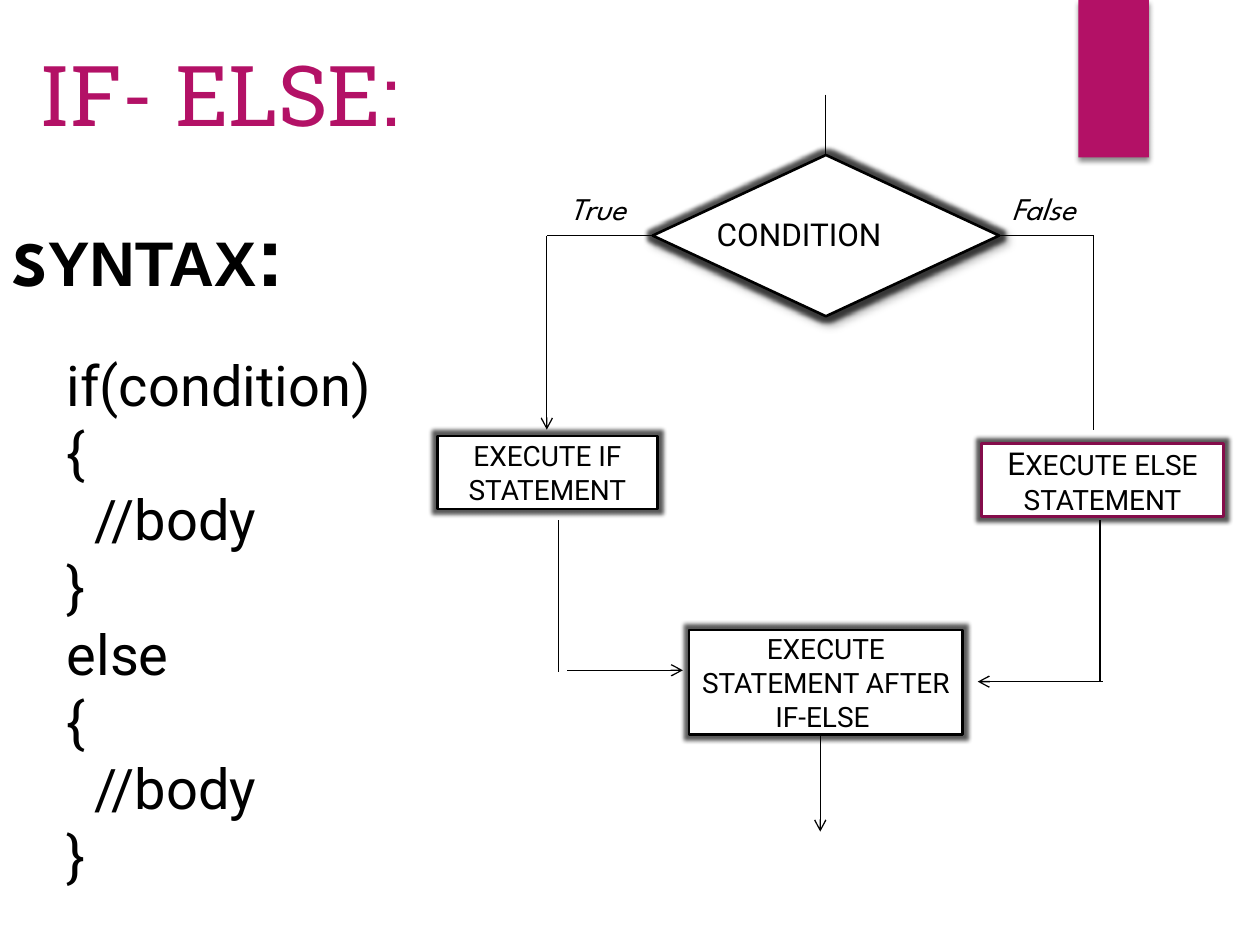
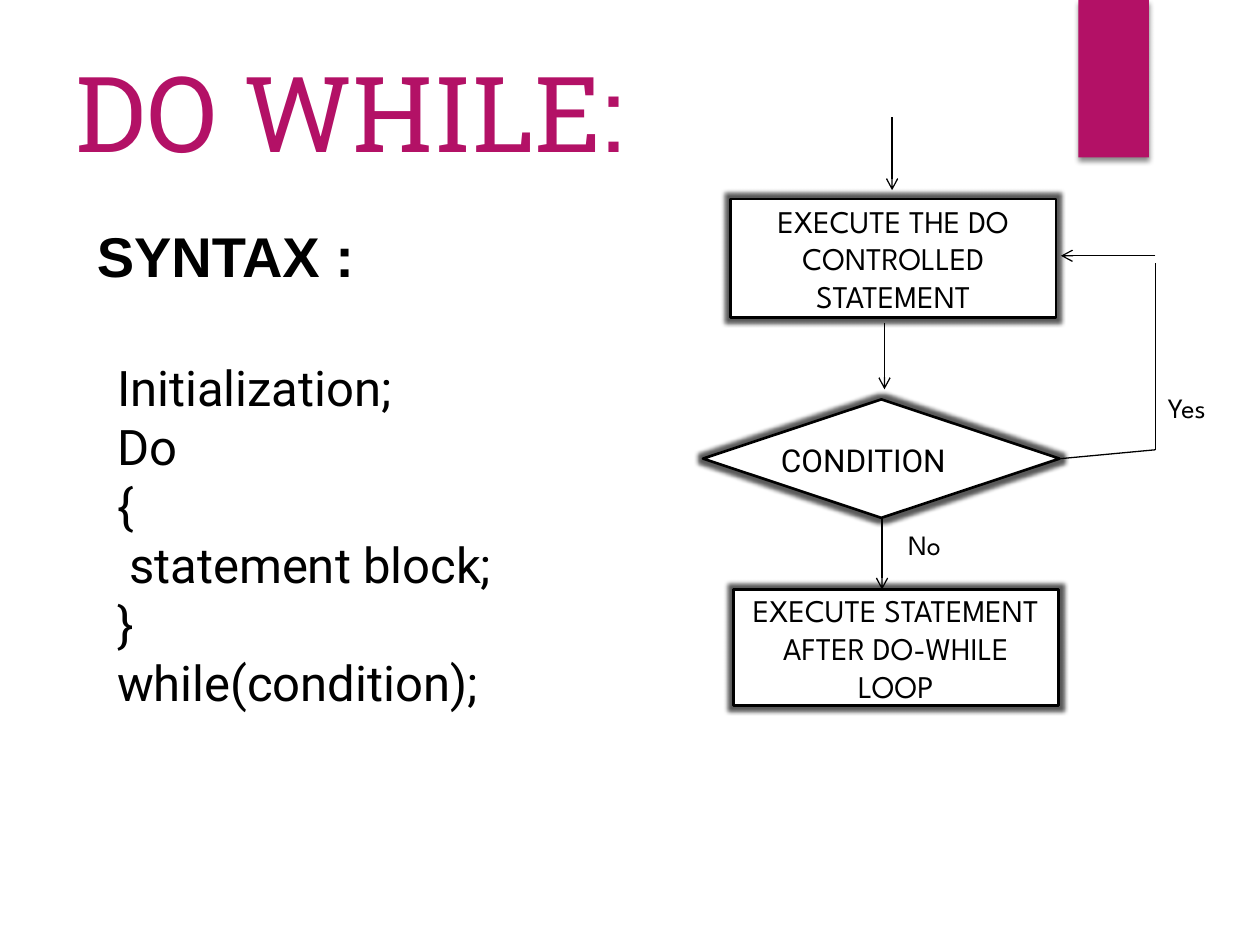
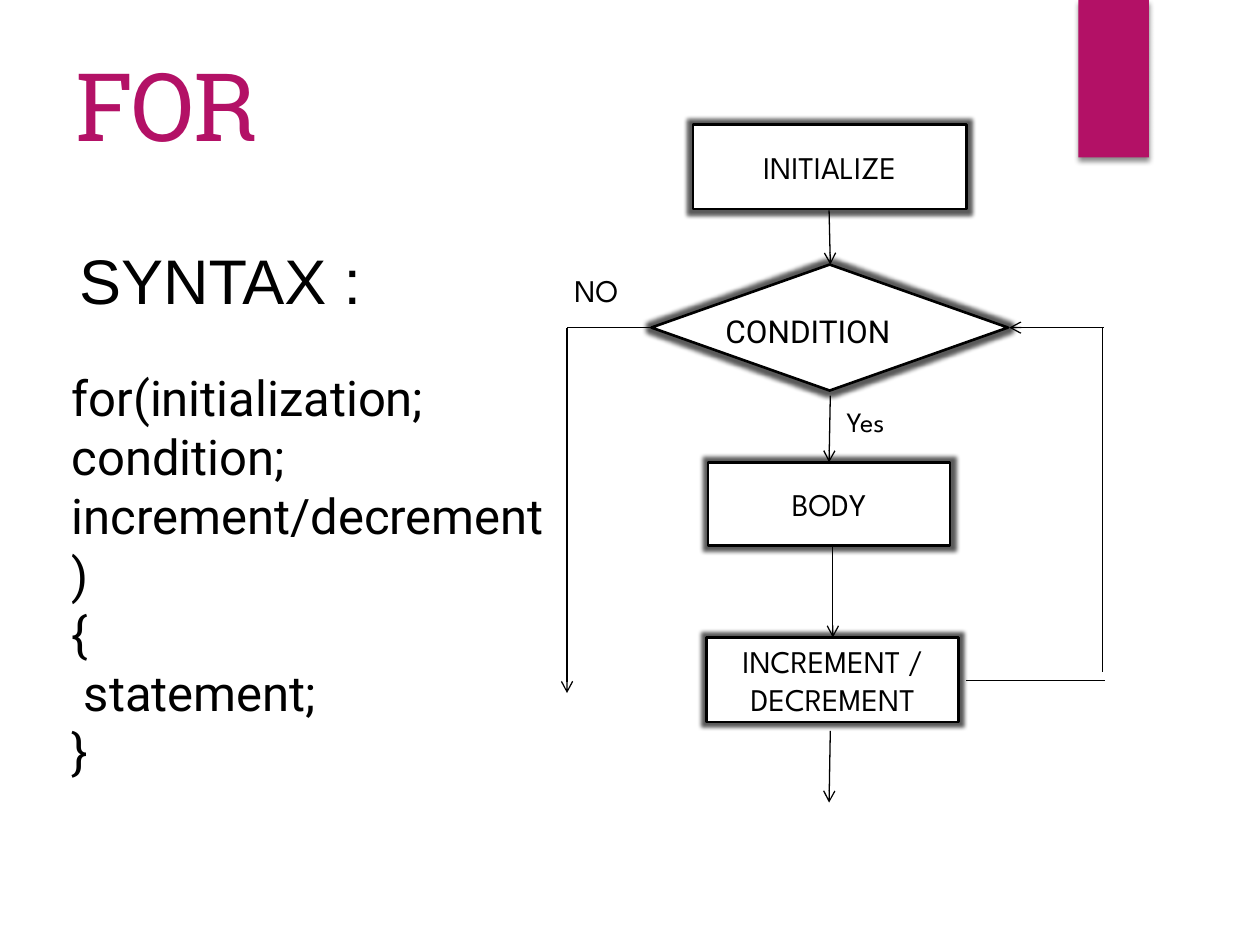
"""Build three slides on control flow, each with its syntax and a flowchart."""
from lxml.etree import SubElement
from pptx import Presentation
from pptx.dml.color import RGBColor
from pptx.enum.shapes import MSO_CONNECTOR, MSO_SHAPE
from pptx.enum.text import MSO_ANCHOR, MSO_AUTO_SIZE, PP_ALIGN
from pptx.oxml.ns import qn
from pptx.util import Inches, Pt

COLORS = {"accent": "B31166", "dark_accent": "840D4B", "ink": "000000", "paper": "FFFFFF"}
SPARTAN, ROBOTO, SLAB, ARIAL = "League Spartan", "Roboto", "Roboto Slab", "Arial"
PROCESS, DECISION = MSO_SHAPE.FLOWCHART_PROCESS, MSO_SHAPE.FLOWCHART_DECISION
BAND = (8.56, 0, 0.56, 1.25)
GLOW = {"radius": 5, "alpha": 65}
BAND_SHADOW = {"alpha": 45, "blur": 3, "distance": 2, "angle": 90}
DECISION_SHADOW = {"alpha": 40, "blur": 4, "distance": 3, "angle": 45}

SLIDES = [
    {
        "title": ("IF- ELSE:", (0.21, 0.29, 9, 0.91), 48),
        "heading": (
            [("S", {"font": SPARTAN}), "YNTAX", (":", {"size": 48})],
            (0, 1.56, 2.5, 0.91),
            {"size": 36, "bold": True},
        ),
        "code": (
            ["if(condition)", "{", "  //body", "}", "else", "{", "  //body", "}"],
            (0.43, 2.73, 3.06, 4.41),
            32,
        ),
        "box_format": {"font": ROBOTO, "size": 16},
        "boxes": [
            (DECISION, (5.18, 1.23, 2.75, 1.28), "", {"shadow": DECISION_SHADOW}),
            (PROCESS, (7.79, 3.52, 1.92, 0.58),
             [("E", {"size": 18}), "XECUTE ELSE STATEMENT"], {"outline": "dark_accent"}),
            (PROCESS, (5.47, 5, 2.17, 0.83), "EXECUTE STATEMENT AFTER IF-ELSE ", {}),
            (PROCESS, (3.47, 3.46, 1.75, 0.58), "EXECUTE IF STATEMENT", {}),
        ],
        "lines": [
            (5.18, 1.87, 4.34, 1.87),
            (7.93, 1.87, 8.68, 1.87),
            (8.68, 1.87, 8.68, 3.41),
            (4.43, 4.13, 4.43, 5.33),
            (8.73, 4.13, 8.73, 5.41),
            (6.55, 0.75, 6.55, 1.23),
        ],
        "arrows": [
            (4.5, 5.32, 5.42, 5.32),
            (4.34, 1.87, 4.34, 3.41),
            (6.51, 5.83, 6.51, 6.6),
            (8.75, 5.41, 7.76, 5.41),
        ],
        "labels": [
            ("True", (4.42, 1.45, 0.92, 0.4), {"size": 18, "italic": True}),
            ("False", (7.93, 1.45, 1.08, 0.4), {"size": 18, "italic": True}),
            ("CONDITION", (5.59, 1.66, 1.83, 0.71), {"size": 18, "font": ROBOTO}),
        ],
    },
    {
        "title": ("DO WHILE:", (0.5, 0.33, 6.42, 1.11), 60),
        "heading": ("SYNTAX :", (0.67, 1.71, 2.33, 0.64), {"size": 32, "bold": True}),
        "code": (
            ["Initialization;", "Do", "{", " statement block;", "}", "while(condition);"],
            (0.83, 2.79, 3.25, 2.93),
            28,
        ),
        "box_format": {"font": SPARTAN, "size": 18},
        "boxes": [
            (PROCESS, (5.8, 1.58, 2.58, 0.94), "EXECUTE THE DO CONTROLLED STATEMENT", {}),
            (DECISION, (5.58, 3.17, 2.83, 0.94), "", {}),
            (PROCESS, (5.82, 4.68, 2.58, 0.92), "EXECUTE STATEMENT AFTER DO-WHILE LOOP", {}),
        ],
        "lines": [(8.42, 3.64, 9.17, 3.57), (9.17, 3.57, 9.17, 2.09)],
        "arrows": [
            (7.08, 0.93, 7.08, 1.51),
            (7.02, 2.56, 7.02, 3.09),
            (7, 4.11, 7, 4.68),
            (9.17, 2.03, 8.42, 2.03),
        ],
        "labels": [
            ("Yes", (9.17, 3.05, 0.67, 0.37), {"size": 16}),
            ("No", (7.11, 4.14, 0.72, 0.37), {"size": 16}),
            ("CONDITION", (6.1, 3.45, 1.97, 0.71), {"size": 18, "font": ROBOTO}),
        ],
    },
    {
        "title": ("FOR", (0.5, 0.32, 3.08, 1.01), 54),
        "heading": ("SYNTAX :", (0.53, 1.87, 2.52, 0.71), {"size": 36}),
        "code": (
            ["for(initialization; condition; increment/decrement)", "{", " statement;", "}"],
            (0.47, 2.87, 4, 2.93),
            28,
        ),
        "box_format": {"font": SPARTAN, "size": 18},
        "boxes": [
            (PROCESS, (5.5, 0.99, 2.17, 0.67), "INITIALIZE", {}),
            (DECISION, (5.17, 2.1, 2.83, 1), "", {}),
            (PROCESS, (5.62, 3.67, 1.92, 0.66), "BODY", {}),
            (PROCESS, (5.61, 5.06, 2, 0.67), "INCREMENT / DECREMENT", {}),
        ],
        "lines": [
            (7.67, 5.4, 8.77, 5.4),
            (8.75, 5.33, 8.75, 2.6),
            (5.17, 2.6, 4.5, 2.6),
        ],
        "arrows": [
            (8.76, 2.6, 8.01, 2.6),
            (6.58, 1.67, 6.59, 2.1),
            (6.59, 3.14, 6.58, 3.67),
            (6.61, 4.33, 6.61, 5.06),
            (4.5, 2.6, 4.5, 5.5),
            (6.59, 5.8, 6.58, 6.37),
        ],
        "labels": [
            ("Yes", (6.62, 3.16, 0.92, 0.37), {"size": 16}),
            ("NO", (4.46, 2.1, 0.71, 0.4), {"size": 18}),
            ("CONDITION", (5.66, 2.43, 1.97, 0.71), {"size": 18, "font": ROBOTO}),
        ],
    },
]


def rgb(name):
    return RGBColor.from_string(COLORS[name])


def inches(values):
    return [Inches(value) for value in values]


def write_text(text_frame, paragraphs, align=PP_ALIGN.LEFT, anchor=MSO_ANCHOR.TOP, **text_format):
    """Write paragraphs, each a string or a list of runs with their own format."""
    text_frame.word_wrap = True
    text_frame.auto_size = MSO_AUTO_SIZE.NONE
    text_frame.vertical_anchor = anchor
    for index, runs in enumerate(paragraphs):
        paragraph = text_frame.add_paragraph() if index else text_frame.paragraphs[0]
        paragraph.alignment = align
        paragraph.space_before = Pt(0)
        for part in [runs] if isinstance(runs, str) else runs:
            text, changes = (part, {}) if isinstance(part, str) else part
            style = {"color": "ink", "bold": False, "italic": False, **text_format, **changes}
            run = paragraph.add_run()
            run.text = text
            run.font.name = style["font"]
            run.font.size = Pt(style["size"])
            run.font.bold = style["bold"]
            run.font.italic = style["italic"]
            run.font.color.rgb = rgb(style["color"])


def add_effects(shape, glow=None, shadow=None):
    shape.shadow.inherit = False
    effects = shape._element.spPr.find(qn("a:effectLst"))
    parts = []
    if glow:
        parts.append(("a:glow", {"rad": Pt(glow["radius"])}, glow["alpha"]))
    if shadow:
        geometry = {
            "blurRad": Pt(shadow["blur"]),
            "dist": Pt(shadow["distance"]),
            "dir": shadow["angle"] * 60000,
            "rotWithShape": 0,
        }
        parts.append(("a:outerShdw", geometry, shadow["alpha"]))
    for tag, attributes, alpha in parts:
        effect = SubElement(effects, qn(tag), {key: str(int(value)) for key, value in attributes.items()})
        color = SubElement(effect, qn("a:srgbClr"), val=COLORS["ink"])
        SubElement(color, qn("a:alpha"), val=str(alpha * 1000))


def add_band(slide, layout):
    band = slide.shapes.add_shape(MSO_SHAPE.RECTANGLE, *inches(BAND))
    band.fill.solid()
    band.fill.fore_color.rgb = rgb("accent")
    band.line.fill.background()
    add_effects(band, shadow=BAND_SHADOW)
    layout.shapes._spTree.append(band._element)


def place(shape, position):
    shape.left, shape.top, shape.width, shape.height = inches(position)


def add_title(slide, text, position, size):
    place(slide.shapes.title, position)
    write_text(slide.shapes.title.text_frame, [text], font=SLAB, size=size, color="accent")


def add_code(slide, lines, position, size):
    body = slide.placeholders[1]
    place(body, position)
    write_text(body.text_frame, lines, font=ROBOTO, size=size)
    for paragraph in body.text_frame.paragraphs:
        properties = paragraph._p.get_or_add_pPr()
        properties.set("marL", "0")
        properties.set("indent", "0")
        SubElement(properties, qn("a:buNone"))


def add_label(slide, text, position, text_format):
    box = slide.shapes.add_textbox(*inches(position))
    write_text(box.text_frame, [text], **{"font": SPARTAN, **text_format})


def add_box(slide, kind, position, text, text_format, outline="ink", shadow=None):
    box = slide.shapes.add_shape(kind, *inches(position))
    box.fill.solid()
    box.fill.fore_color.rgb = rgb("paper")
    box.line.color.rgb = rgb(outline)
    box.line.width = Pt(1.5)
    add_effects(box, glow=GLOW, shadow=shadow)
    if text:
        write_text(box.text_frame, [text], align=PP_ALIGN.CENTER, anchor=MSO_ANCHOR.MIDDLE, **text_format)


def add_line(slide, ends, arrow=False):
    line = slide.shapes.add_connector(MSO_CONNECTOR.STRAIGHT, *inches(ends))
    line.line.color.rgb = rgb("ink")
    line.line.width = Pt(0.75)
    if arrow:
        SubElement(line.line._get_or_add_ln(), qn("a:tailEnd"), type="arrow")
    SubElement(line._element.spPr, qn("a:effectLst"))


def build_slide(slide, content):
    add_title(slide, *content["title"])
    heading, position, heading_format = content["heading"]
    add_label(slide, heading, position, {"font": ARIAL, **heading_format})
    add_code(slide, *content["code"])
    for kind, position, text, options in content["boxes"]:
        add_box(slide, kind, position, text, content["box_format"], **options)
    for ends in content["lines"]:
        add_line(slide, ends)
    for ends in content["arrows"]:
        add_line(slide, ends, arrow=True)
    for label in content["labels"]:
        add_label(slide, *label)


def main():
    presentation = Presentation()
    presentation.slide_width, presentation.slide_height = inches((10, 7.5))
    layout = presentation.slide_layouts[1]
    for index, content in enumerate(SLIDES):
        slide = presentation.slides.add_slide(layout)
        if index == 0:
            add_band(slide, layout)
        build_slide(slide, content)
    presentation.save("out.pptx")


if __name__ == "__main__":
    main()
